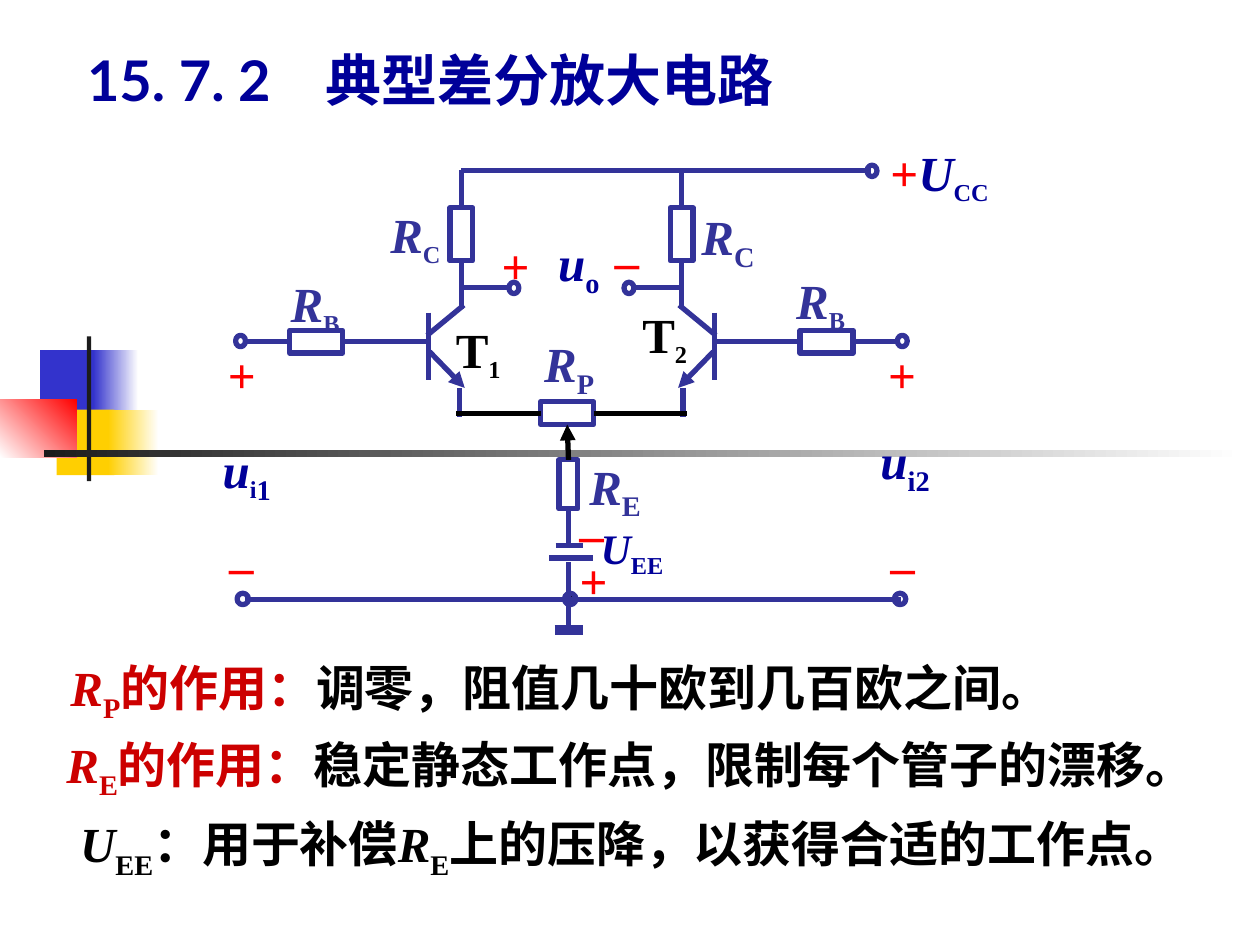
from lxml.etree import SubElement
from pptx import Presentation
from pptx.dml.color import RGBColor
from pptx.enum.shapes import MSO_CONNECTOR as Link, MSO_SHAPE as Form
from pptx.enum.text import MSO_ANCHOR as Anchor, MSO_AUTO_SIZE as Fit, PP_ALIGN as Align
from pptx.oxml.ns import qn
from pptx.util import Cm, Pt

BLUE = RGBColor(0x33, 0x33, 0x99)
NAVY = RGBColor(0x00, 0x00, 0x99)
RED = RGBColor(0xFF, 0x00, 0x00)
DEEP = RGBColor(0xCC, 0x00, 0x00)
BLACK = RGBColor(0x00, 0x00, 0x00)
WHITE = RGBColor(0xFF, 0xFF, 0xFF)
IRIS = RGBColor(0x33, 0x33, 0xCC)
GOLD = RGBColor(0xFF, 0xCF, 0x01)
COAL = RGBColor(0x1C, 0x1C, 0x1C)
SPAN = 23.04

deck = Presentation()
deck.slide_width, deck.slide_height = Cm(25.4), Cm(19.05)
slide = deck.slides.add_slide(deck.slide_layouts[5])
shapes = slide.shapes


def write(box, runs, align=Align.LEFT, wrap=True):
    x, y, wide, high = box
    frame = shapes.add_textbox(Cm(x), Cm(y), Cm(wide), Cm(high)).text_frame
    frame.word_wrap = wrap
    frame.auto_size = Fit.SHAPE_TO_FIT_TEXT
    line = frame.paragraphs[0]
    line.alignment = align
    for words, ink, size, slant, base in runs:
        run = line.add_run()
        run.text = words
        look = {"name": "Times New Roman", "size": Pt(size), "bold": True, "italic": slant}
        for key, value in look.items():
            setattr(run.font, key, value)
        run.font.color.rgb = ink
        if base:
            run.font._element.set("baseline", str(base * 1000))


def wire(start, end, ink=BLUE, wide=3, head=False):
    spots = [p if isinstance(p[0], (int, float)) else (0, 0) for p in (start, end)]
    (ax, ay), (bx, by) = spots
    line = shapes.add_connector(Link.STRAIGHT, Cm(ax), Cm(ay), Cm(bx), Cm(by))
    for point, join in ((start, line.begin_connect), (end, line.end_connect)):
        if not isinstance(point[0], (int, float)):
            join(*point)
    line.line.color.rgb = ink
    line.line.width = Pt(wide)
    if head:
        SubElement(line.line._get_or_add_ln(), qn("a:tailEnd"), type="triangle")
    SubElement(line._element.spPr, qn("a:effectLst"))


for x, y, wide, high, first, last, turn in (
    (0.81, 7.06, 1.22, 1.32, IRIS, None, 0),
    (1.88, 7.06, 0.91, 1.32, WHITE, IRIS, 180),
    (1.14, 8.26, 1.17, 1.32, GOLD, None, 0),
    (2.18, 8.26, 1.02, 1.32, WHITE, GOLD, 180),
    (0, 8.05, 1.55, 1.17, RED, WHITE, 225),
    (1.75, 6.78, 0.09, 2.92, COAL, None, 0),
    (0.89, 9.07, 24.16, 0.15, WHITE, COAL, 180),
):
    block = shapes.add_shape(Form.RECTANGLE, Cm(x), Cm(y), Cm(wide), Cm(high))
    block.shadow.inherit = False
    block.line.fill.background()
    if last is None:
        block.fill.solid()
        block.fill.fore_color.rgb = first
    else:
        block.fill.gradient()
        block.fill.gradient_angle = turn
        for stop, ink in zip(block.fill.gradient_stops, (first, last)):
            stop.color.rgb = ink

title = shapes.title
for key, value in {"left": 1.5, "top": 0.71, "width": 16.94, "height": 1.7}.items():
    setattr(title, key, Cm(value))
frame = title.text_frame
frame.text = "15. 7. 2\t典型差分放大电路"
for key, value in {"vertical_anchor": Anchor.BOTTOM, "auto_size": Fit.NONE, "word_wrap": True}.items():
    setattr(frame, key, value)
head = frame.paragraphs[0]
head.alignment = Align.LEFT
tabs = SubElement(head._p.get_or_add_pPr(), qn("a:tabLst"))
SubElement(tabs, qn("a:tab"), pos=str(Cm(4.8)), algn="l")
font = head.runs[0].font
for key, value in {"name": "Lato", "size": Pt(32), "bold": True}.items():
    setattr(font, key, value)
font.color.rgb = NAVY

parts = {}
for name, form, x, y, wide, high, twin in (
    ("RC", Form.RECTANGLE, 9.07, 4.19, 0.46, 1.07, True),
    ("RB", Form.RECTANGLE, 5.84, 6.66, 1.07, 0.46, True),
    ("RP", Form.RECTANGLE, 10.9, 8.1, 1.07, 0.46, False),
    ("RE", Form.RECTANGLE, 11.27, 9.27, 0.38, 0.99, False),
    ("in", Form.OVAL, 4.75, 6.76, 0.2, 0.23, True),
    ("out", Form.OVAL, 10.26, 5.69, 0.2, 0.23, True),
    ("base", Form.OVAL, 4.78, 11.96, 0.23, 0.23, True),
    ("supply", Form.OVAL, 17.48, 3.33, 0.2, 0.23, False),
    ("node", Form.OVAL, 11.38, 11.96, 0.23, 0.23, False),
):
    for side, left in enumerate((x, SPAN - x - wide)[:1 + twin]):
        part = shapes.add_shape(form, Cm(left), Cm(y), Cm(wide), Cm(high))
        part.shadow.inherit = False
        part.fill.background()
        part.line.color.rgb = BLUE
        part.line.width = Pt(3)
        parts[name, side] = part
parts["node", 0].fill.solid()
parts["node", 0].fill.fore_color.rgb = BLACK
pot, tail = parts["RP", 0], parts["RE", 0]

for side in (0, 1):
    load, gate = parts["RC", side], parts["RB", side]
    near, far = (3, 1) if side == 0 else (1, 3)
    for x, y, ex, ey, arrow in (
        (8.64, 6.3, 8.64, 7.67, False),
        (8.61, 6.76, 9.35, 6.15, False),
        (8.66, 7.09, 9.37, 7.82, True),
        (9.27, 7.82, 9.27, 8.41, False),
        (9.27, 5.79, 10.26, 5.79, False),
    ):
        if side:
            x, ex = SPAN - x, SPAN - ex
        wire((x, y), (ex, ey), head=arrow)
    for x, y, part, site, ink in (
        (9.3, 3.43, load, 0, BLUE),
        (9.3, 6.22, load, 2, BLUE),
        (8.64, 6.89, gate, near, BLUE),
        (4.93, 6.89, gate, far, BLUE),
        (9.2, 8.33, pot, far, BLACK),
    ):
        wire((SPAN - x if side else x, y), (part, site), ink)

wire((9.3, 3.43), (17.55, 3.43))
wire((4.93, 12.09), (18.16, 12.09))
wire((tail, 2), (11.46, 11.05))
wire((11.2, 10.99), (11.76, 10.99))
wire((11.07, 11.25), (11.96, 11.25))
wire((11.46, 11.33), (11.46, 12.7))
wire((11.18, 12.7), (11.76, 12.7), wide=6)
wire((tail, 0), (pot, 2), BLACK, head=True)

for x, y, wide, main, sub, ink, size, small in (
    (11, 4.57, 1.85, "u", "o", NAVY, 28, 28),
    (17.5, 8.56, 2.16, "u", "i2", NAVY, 28, 28),
    (7.62, 3.99, 2.21, "R", "C", BLUE, 28, 24),
    (13.89, 4.04, 2.21, "R", "C", BLUE, 28, 28),
    (10.72, 6.6, 1.57, "R", "P", BLUE, 28, 28),
    (8.94, 6.32, 2.01, "T", "1", BLACK, 28, 24),
    (12.7, 6.02, 2.29, "T", "2", BLACK, 28, 24),
    (5.61, 5.38, 1.85, "R", "B", BLUE, 28, 24),
    (15.8, 5.33, 2.11, "R", "B", BLUE, 28, 24),
    (11.63, 9.07, 2.13, "R", "E", BLUE, 28, 28),
    (11.86, 10.41, 2.13, "U", "EE", NAVY, 24, 24),
):
    write((x, y, wide, 1.55), [(main, ink, size, main != "T", 0), (sub, ink, small, False, -24)])
write((17.7, 2.74, 3.25, 1.55), [
    ("+", RED, 28, False, 0), ("U", NAVY, 28, True, 0), ("CC", NAVY, 24, False, -25)])
write((4.24, 8.74, 2.54, 1.57), [
    ("u", NAVY, 28, True, 0), ("i", NAVY, 24, False, -24), ("1", NAVY, 28, False, -24)])

for sign, wide, spots in (
    ("+", 1.07, ((4.34, 6.83), (17.65, 6.83), (9.86, 4.62), (11.43, 10.97))),
    ("–", 0.99, ((4.37, 10.67), (12.14, 4.52), (17.7, 10.67), (11.43, 10.03))),
):
    for x, y in spots:
        write((x, y, wide, 1.45), [(sign, RED, 28, False, 0)], Align.CENTER, False)

for x, y, wide, sub, use in (
    (1.17, 13.13, 24.23, "P", "调零，阻值几十欧到几百欧之间。"),
    (1.09, 14.68, 23.6, "E", "稳定静态工作点，限制每个管子的漂移。"),
):
    write((x, y, wide, 1.6), [
        ("R", DEEP, 28, True, 0), (sub, DEEP, 28, False, -25),
        ("的作用：", DEEP, 28, False, 0), (use, BLACK, 28, False, 0)])
write((1.09, 16.28, 23.29, 1.6), [
    ("U", BLACK, 28, True, 0), ("EE", BLACK, 28, False, -25), ("：用于补偿", BLACK, 28, False, 0),
    ("R", BLACK, 28, True, 0), ("E", BLACK, 28, False, -25),
    ("上的压降，以获得合适的工作点。", BLACK, 28, False, 0)], Align.CENTER)

deck.save("out.pptx")
